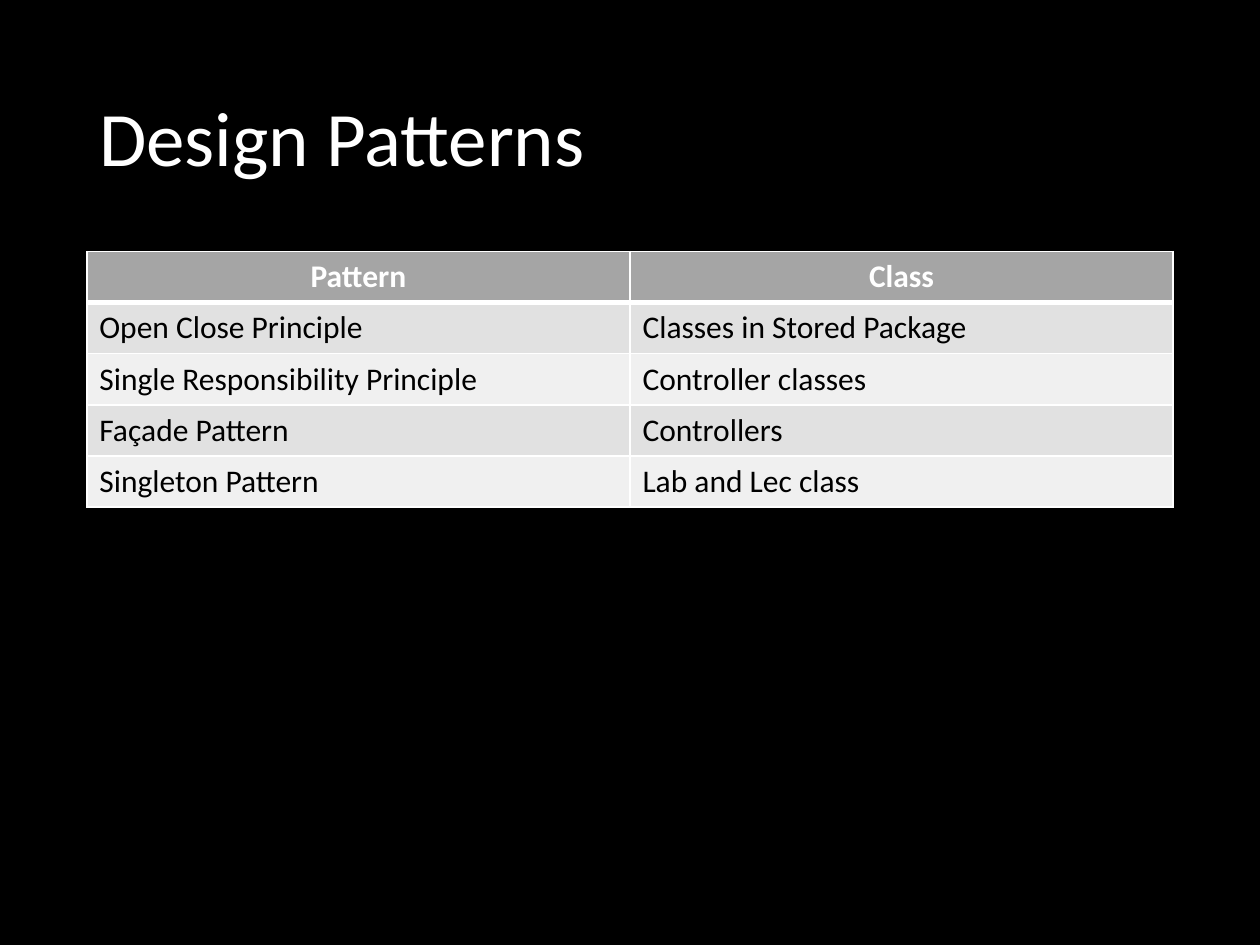
from dataclasses import dataclass

import lxml.etree
import pptx
import pptx.dml.color
import pptx.enum.text
import pptx.oxml.ns
import pptx.util

Cm = pptx.util.Cm
Pt = pptx.util.Pt
ALIGN = pptx.enum.text.PP_ALIGN


@dataclass(frozen=True)
class Theme:
    font: str = "Calibri"
    background: str = "000000"
    light: str = "FFFFFF"
    dark: str = "000000"
    header: str = "A5A5A5"
    bands: tuple[str, str] = ("E1E1E1", "F0F0F0")
    title_size: int = 44
    table_size: int = 18
    rule: int = 1
    header_rule: int = 3


@dataclass(frozen=True)
class PatternUse:
    pattern: str
    where: str


THEME = Theme()
HEADING = PatternUse("Pattern", "Class")
USES = [
    PatternUse("Open Close Principle", "Classes in Stored Package"),
    PatternUse("Single Responsibility Principle", "Controller classes"),
    PatternUse("Façade Pattern", "Controllers"),
    PatternUse("Singleton Pattern", "Lab and Lec class"),
]
LEFT, WIDTH = Cm(1.75), Cm(21.9)
ROW_HEIGHT = Cm(1.03)


def rgb(value: str) -> pptx.dml.color.RGBColor:
    return pptx.dml.color.RGBColor.from_string(value)


def write(frame, text: str, *, size: int, color: str, bold: bool = False,
          align=ALIGN.LEFT, spacing: float = 1.0) -> None:
    paragraph = frame.paragraphs[0]
    paragraph.alignment = align
    paragraph.line_spacing = spacing
    run = paragraph.add_run()
    run.text = text
    run.font.name = THEME.font
    run.font.size = Pt(size)
    run.font.bold = bold
    run.font.color.rgb = rgb(color)


def add_border(cell, side: str, width: float) -> None:
    qn = pptx.oxml.ns.qn
    properties = cell._tc.get_or_add_tcPr()
    line = lxml.etree.SubElement(properties, qn(f"a:ln{side}"), w=str(Pt(width)))
    fill = lxml.etree.SubElement(line, qn("a:solidFill"))
    lxml.etree.SubElement(fill, qn("a:srgbClr"), val=THEME.light)


def draw_row(table, index: int, use: PatternUse) -> None:
    is_header = index == 0
    table.rows[index].height = ROW_HEIGHT
    widths = {
        "L": THEME.rule,
        "R": THEME.rule,
        "T": THEME.header_rule if index == 1 else THEME.rule,
        "B": THEME.header_rule if is_header else THEME.rule,
    }
    for cell, text in zip(table.rows[index].cells, (use.pattern, use.where)):
        for side, width in widths.items():
            add_border(cell, side, width)
        cell.fill.solid()
        cell.fill.fore_color.rgb = rgb(
            THEME.header if is_header else THEME.bands[(index - 1) % 2])
        write(cell.text_frame, text, size=THEME.table_size, bold=is_header,
              color=THEME.light if is_header else THEME.dark,
              align=ALIGN.CENTER if is_header else ALIGN.LEFT)


def draw_title(slide, text: str) -> None:
    frame = slide.shapes.add_textbox(LEFT, Cm(1.01), WIDTH, Cm(3.68)).text_frame
    frame.word_wrap = True
    frame.vertical_anchor = pptx.enum.text.MSO_ANCHOR.MIDDLE
    write(frame, text, size=THEME.title_size, color=THEME.light, spacing=0.9)


def draw_patterns(slide) -> None:
    rows = [HEADING, *USES]
    table = slide.shapes.add_table(
        len(rows), 2, LEFT, Cm(5.07), WIDTH, ROW_HEIGHT * len(rows)).table
    for index, use in enumerate(rows):
        draw_row(table, index, use)


deck = pptx.Presentation()
deck.slide_width, deck.slide_height = Cm(25.4), Cm(19.05)
slide = deck.slides.add_slide(deck.slide_layouts[6])
slide.background.fill.solid()
slide.background.fill.fore_color.rgb = rgb(THEME.background)
draw_patterns(slide)
draw_title(slide, "Design Patterns")
deck.save("out.pptx")
